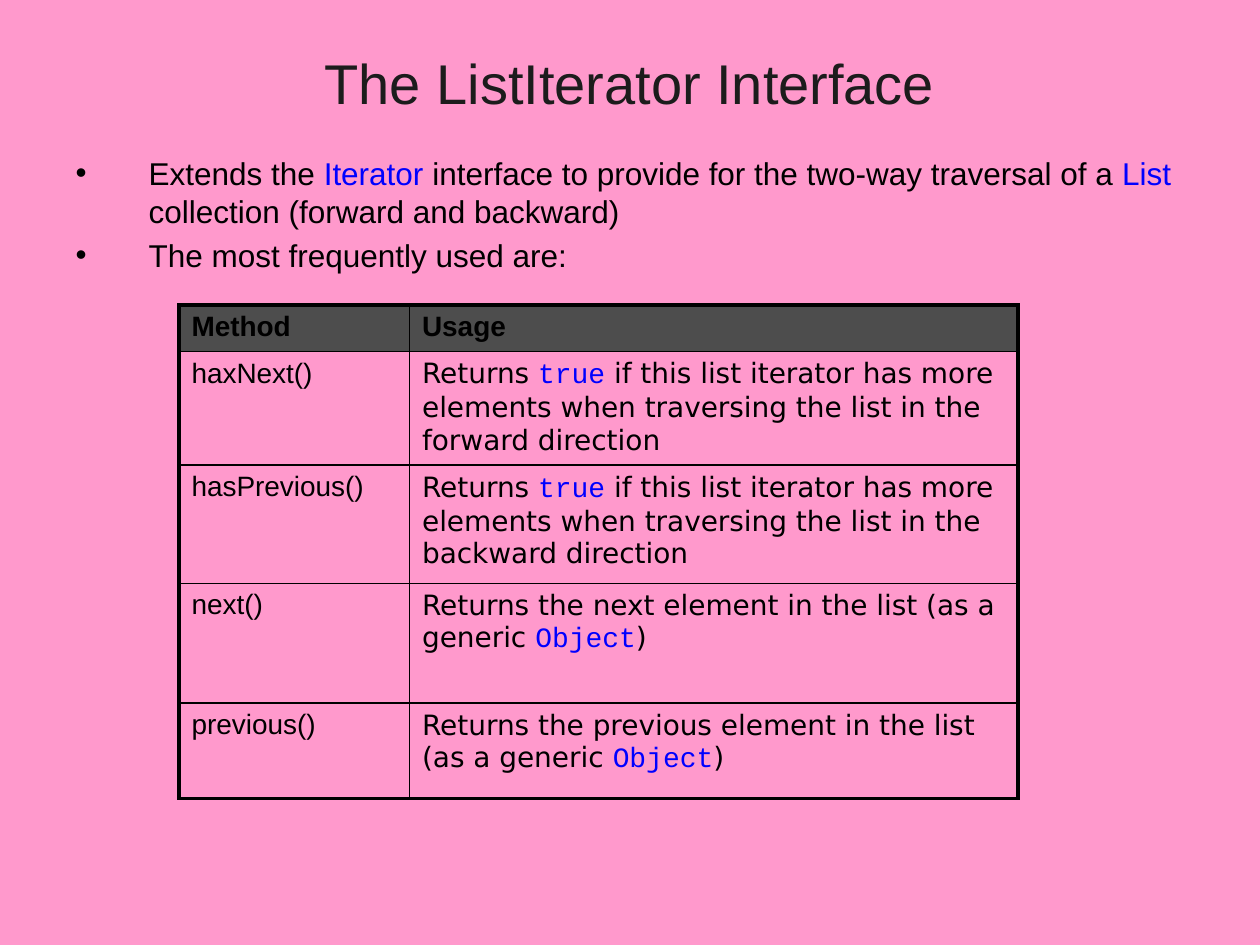
from lxml.etree import SubElement
from pptx import Presentation
from pptx.dml.color import RGBColor
from pptx.enum.text import MSO_ANCHOR, MSO_AUTO_SIZE, PP_ALIGN
from pptx.oxml.ns import qn
from pptx.util import Inches, Pt

THEME = {
    "background": "FF99CC", "title": "1C1C1C", "text": "000000",
    "code": "0000FF", "header": "4D4D4D", "border": "000000",
    "title_size": 32, "body_size": 18, "table_size": 16,
    "thick": 2.25, "thin": 1,
    "sans": "Arial", "usage": "DejaVu Sans", "mono": "Courier New",
}


def add_spans(para, text, size, font, code_font, color=THEME["text"], bold=False):
    """Write text into para; pieces between bars are code words."""
    for index, piece in enumerate(text.split("|")):
        is_code = index % 2 == 1
        span = para.add_run()
        span.text = piece
        values = {"name": code_font if is_code else font, "size": Pt(size), "bold": bold}
        for name, value in values.items():
            setattr(span.font, name, value)
        span.font.color.rgb = RGBColor.from_string(THEME["code"] if is_code else color)


def space_before(para):
    """Open a gap of a fifth of a line above para."""
    properties = para._p.get_or_add_pPr()
    SubElement(SubElement(properties, qn("a:spcBef")), qn("a:spcPct"), val="20000")
    return properties


deck = Presentation()
deck.slide_width, deck.slide_height = Inches(10), Inches(7.5)
page = deck.slides.add_slide(deck.slide_layouts[1])
page.background.fill.solid()
page.background.fill.fore_color.rgb = RGBColor.from_string(THEME["background"])

# Placeholders share one left edge and width
margin = int(deck.slide_width * 0.05)
title, body = page.shapes.title, page.placeholders[1]
for box, top, height, anchor in (
    (title, 0.3, 0.7, MSO_ANCHOR.MIDDLE),
    (body, 1.17, 5.53, MSO_ANCHOR.TOP),
):
    place = {"left": margin, "top": Inches(top),
             "width": deck.slide_width - 2 * margin, "height": Inches(height)}
    for name, value in place.items():
        setattr(box, name, value)
    frame = {"word_wrap": True, "auto_size": MSO_AUTO_SIZE.NONE, "vertical_anchor": anchor}
    for name, value in frame.items():
        setattr(box.text_frame, name, value)

# Title
para = title.text_frame.paragraphs[0]
para.alignment = PP_ALIGN.CENTER
add_spans(para, "The ListIterator Interface", THEME["title_size"],
          THEME["sans"], THEME["mono"], THEME["title"])

# Bullets
bullets = [
    "Extends the |Iterator| interface to provide for the two-way traversal of a "
    "|List| collection (forward and backward)",
    "The most frequently used are:",
]
for index, text in enumerate(bullets):
    para = body.text_frame.add_paragraph() if index else body.text_frame.paragraphs[0]
    properties = space_before(para)
    indent = Inches(0.58)
    properties.set("marL", str(indent))
    properties.set("indent", str(-indent))
    SubElement(properties, qn("a:buFont"), typeface=THEME["sans"])
    SubElement(properties, qn("a:buChar"), char="•")
    add_spans(para, text, THEME["body_size"], THEME["sans"], THEME["sans"])

# Method table
returns_true = ("Returns |true| if this list iterator has more elements "
                "when traversing the list in the {} direction")
returns_item = "Returns the {} element in the list (as a generic |Object|)"
rows = [
    ("Method", "Usage"),
    ("haxNext()", returns_true.format("forward")),
    ("hasPrevious()", returns_true.format("backward")),
    ("next()", returns_item.format("next")),
    ("previous()", returns_item.format("previous")),
]
column_widths = [1.83, 4.83]
row_heights = [0.37, 0.9, 0.94, 0.95, 0.76]
table = page.shapes.add_table(
    len(rows), len(column_widths), Inches(1.42), Inches(2.42),
    Inches(sum(column_widths)), Inches(sum(row_heights))).table
table.first_row = table.horz_banding = False
for column, width in zip(table.columns, column_widths):
    column.width = Inches(width)
for row, height in zip(table.rows, row_heights):
    row.height = Inches(height)

last_row, last_column = len(rows) - 1, len(column_widths) - 1
for row_index, texts in enumerate(rows):
    for column_index, text in enumerate(texts):
        cell = table.cell(row_index, column_index)
        is_header = row_index == 0

        # Thick outer frame, thin inner rules
        outer_sides = {
            "a:lnL": column_index == 0, "a:lnR": column_index == last_column,
            "a:lnT": row_index == 0, "a:lnB": row_index == last_row,
        }
        for side, is_outer in outer_sides.items():
            weight = Pt(THEME["thick"] if is_outer else THEME["thin"])
            line = SubElement(cell._tc.get_or_add_tcPr(), qn(side), w=str(weight))
            SubElement(SubElement(line, qn("a:solidFill")), qn("a:srgbClr"),
                       val=THEME["border"])

        if is_header:
            cell.fill.solid()
            cell.fill.fore_color.rgb = RGBColor.from_string(THEME["header"])
        else:
            cell.fill.background()

        para = cell.text_frame.paragraphs[0]
        space_before(para)
        font = THEME["sans"] if is_header or column_index == 0 else THEME["usage"]
        add_spans(para, text, THEME["table_size"], font, THEME["mono"], bold=is_header)

deck.save("out.pptx")
